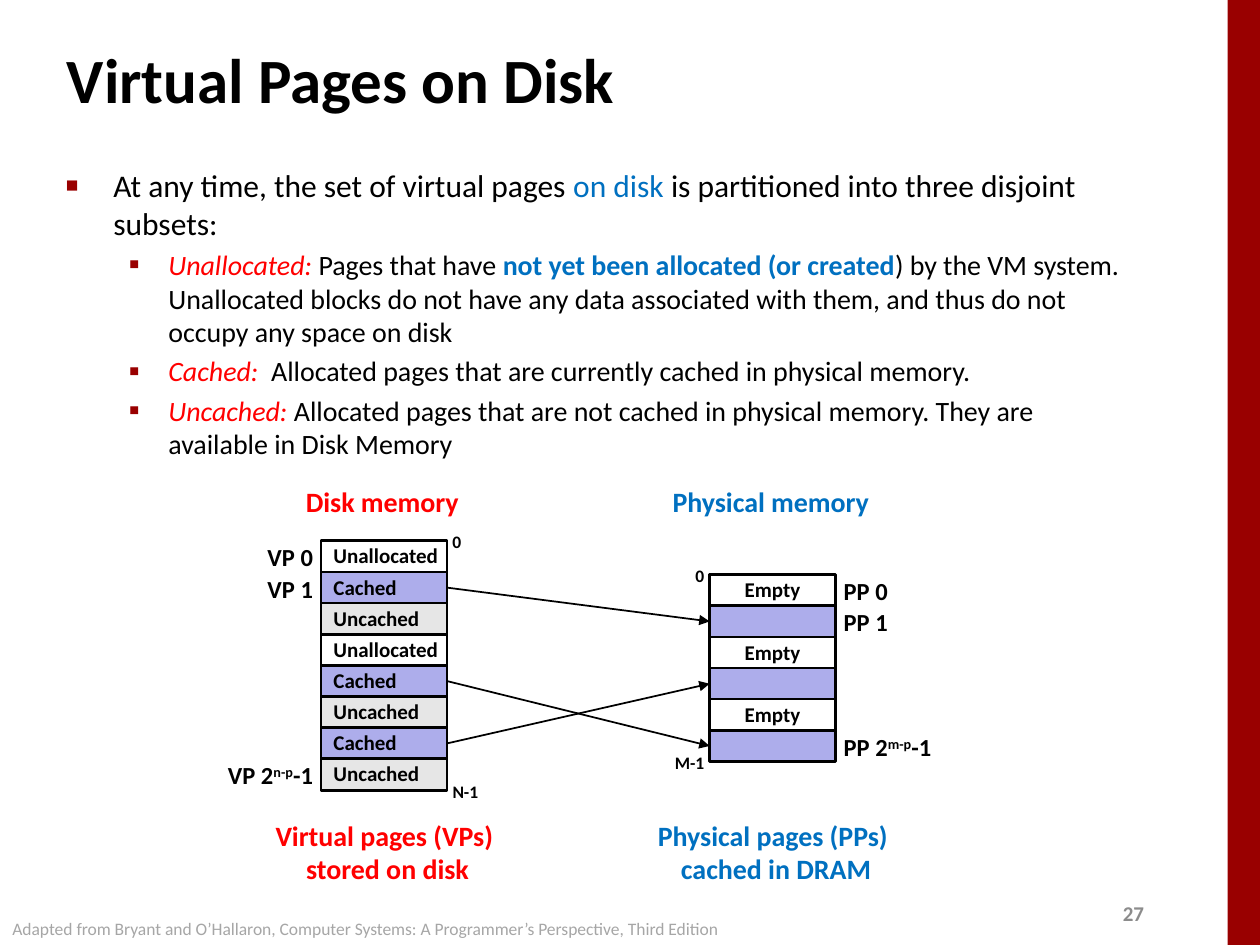
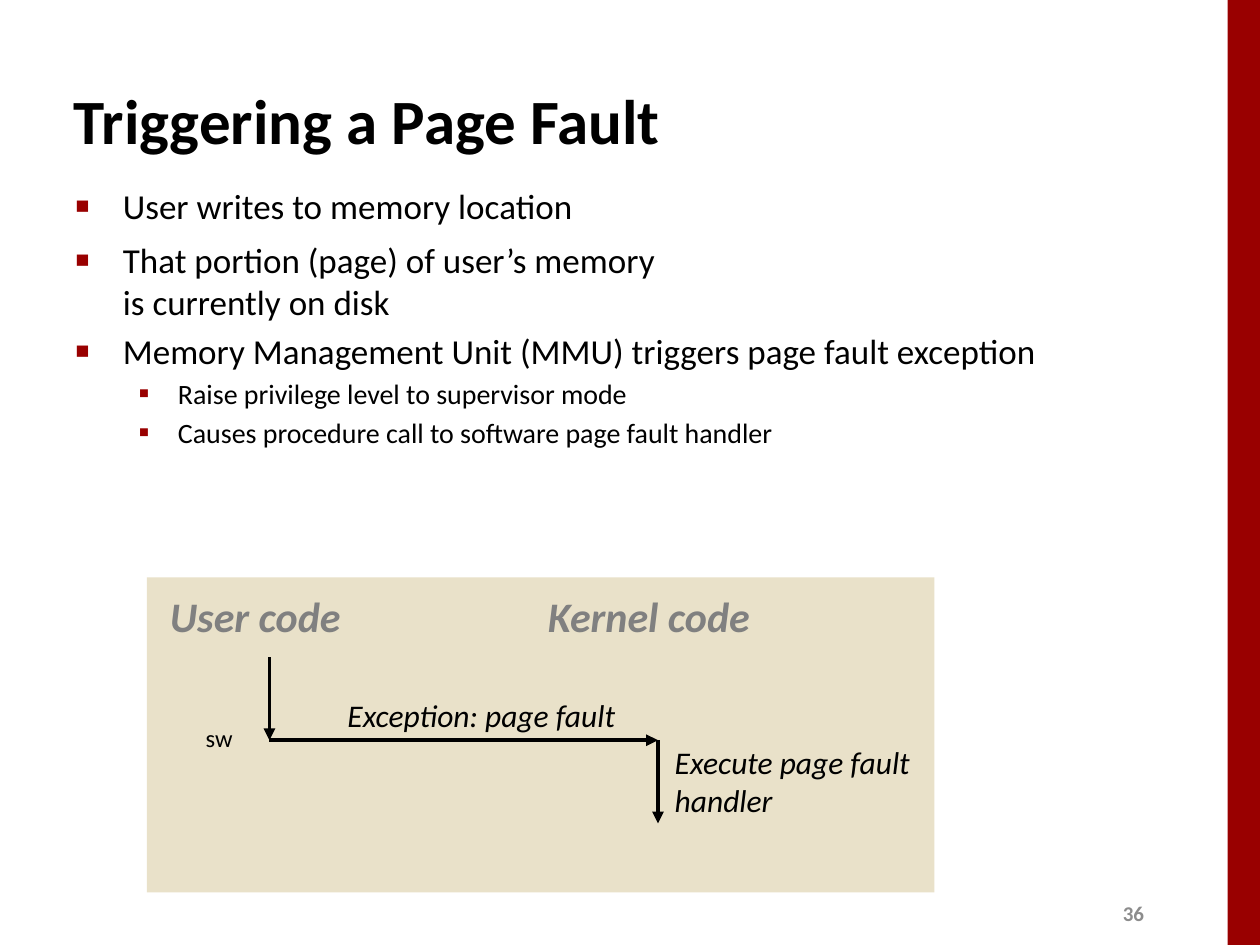
import collections

import lxml.etree
import pptx
import pptx.dml.color
import pptx.enum.shapes
import pptx.enum.text
import pptx.oxml.ns
import pptx.util

Pt = pptx.util.Pt
qn = pptx.oxml.ns.qn
ALIGN = pptx.enum.text.PP_ALIGN
ANCHOR = pptx.enum.text.MSO_ANCHOR
FIT = pptx.enum.text.MSO_AUTO_SIZE
RECTANGLE = pptx.enum.shapes.MSO_SHAPE.RECTANGLE
STRAIGHT = pptx.enum.shapes.MSO_CONNECTOR.STRAIGHT

Box = collections.namedtuple("Box", "left top width height")

COLORS = {
    "black": "000000", "white": "FFFFFF", "band": "990000", "red": "FF0000",
    "blue": "0070C0", "cached": "ADADEB", "uncached": "E6E6E6",
    "panel": "E9E1C9", "heading": "808080", "number": "8C8C8C", "source": "A6A6A6",
}
BULLETS = [("■", 42, 27, 27), ("▪", 110, 58.5, 22.5)]
CELL_PITCH = 17.8
CELL_HEIGHT = 18
CELL_FILLS = {"Unallocated": "white", "Empty": "white", "Uncached": "uncached"}


def rgb(color):
    return pptx.dml.color.RGBColor.from_string(COLORS[color])


def add_run(paragraph, text, size, color="black", bold=False, italic=False, raised=False):
    run = paragraph.add_run()
    run.text = text
    run.font.name = "Calibri"
    run.font.size = Pt(size)
    run.font.color.rgb = rgb(color)
    run.font.bold = bold
    run.font.italic = italic
    if raised:
        run._r.get_or_add_rPr().set("baseline", "30000")


def add_label(shapes, box, lines, size, color="black", align=ALIGN.LEFT, spacing=1.0,
              bold=False, italic=False, wrap=False):
    label = shapes.add_textbox(*map(Pt, box))
    frame = label.text_frame
    frame.word_wrap = wrap
    frame.vertical_anchor = ANCHOR.MIDDLE
    for index, line in enumerate(lines):
        paragraph = frame.add_paragraph() if index else frame.paragraphs[0]
        paragraph.alignment = align
        paragraph.line_spacing = spacing
        for position, text in enumerate(line):
            add_run(paragraph, text, size, color, bold, italic, raised=position == 1)


def add_block(shapes, box, fill, outlined=False):
    block = shapes.add_shape(RECTANGLE, *map(Pt, box))
    block.shadow.inherit = False
    block.fill.solid()
    block.fill.fore_color.rgb = rgb(fill)
    if outlined:
        block.line.color.rgb = rgb("black")
        block.line.width = Pt(1.5)
    else:
        block.line.fill.background()
    return block


def add_arrow(shapes, start, end, weight):
    arrow = shapes.add_connector(STRAIGHT, *map(Pt, start + end))
    arrow.line.color.rgb = rgb("black")
    arrow.line.width = Pt(weight)
    properties = arrow.element.spPr
    lxml.etree.SubElement(properties.find(qn("a:ln")), qn("a:tailEnd"), type="triangle")
    lxml.etree.SubElement(properties, qn("a:effectLst"))
    return arrow


def place(placeholder, box):
    placeholder.left, placeholder.top, placeholder.width, placeholder.height = map(Pt, box)
    placeholder.text_frame.auto_size = FIT.NONE
    return placeholder.text_frame


def set_bullet(paragraph, level):
    mark, percent, margin, hanging = BULLETS[level]
    paragraph.level = level
    properties = paragraph._p.get_or_add_pPr()
    properties.set("marL", str(Pt(margin)))
    properties.set("indent", str(-Pt(hanging)))
    color = lxml.etree.SubElement(properties, qn("a:buClr"))
    lxml.etree.SubElement(color, qn("a:srgbClr"), val=COLORS["band"])
    lxml.etree.SubElement(properties, qn("a:buSzPct"), val=str(percent * 1000))
    lxml.etree.SubElement(properties, qn("a:buFont"), typeface="Calibri")
    lxml.etree.SubElement(properties, qn("a:buChar"), char=mark)


def fill_body(body, box, items, sizes):
    frame = place(body, box)
    for index, (level, runs) in enumerate(items):
        paragraph = frame.add_paragraph() if index else frame.paragraphs[0]
        set_bullet(paragraph, level)
        for text, style in runs:
            for part, piece in enumerate(text.split("\n")):
                if part:
                    paragraph.add_line_break()
                add_run(paragraph, piece, sizes[level], **style)


def start_slide(deck, title, title_box, number):
    slide = deck.slides.add_slide(deck.slide_layouts[1])
    add_block(slide.shapes, Box(701.5, 0, 18.5, 540), "band")
    add_label(slide.shapes, Box(634.5, 511, 29, 22), [[number]], 12, "number", bold=True)
    heading = place(slide.shapes.title, title_box)
    heading.vertical_anchor = ANCHOR.MIDDLE
    heading.paragraphs[0].alignment = ALIGN.LEFT
    add_run(heading.paragraphs[0], title, 36, bold=True)
    return slide


def add_side_label(shapes, column, side, overlap, middle, width, text, size):
    if side == "left":
        left, align = column.left - width + overlap, ALIGN.RIGHT
    else:
        left, align = column.left + column.width - overlap, ALIGN.LEFT
    add_label(shapes, Box(left, middle - 10, width, 22), [text], size,
              align=align, spacing=0.98, bold=True)


def add_memory(shapes, box, cells_top, color, heading, caption, states, state_align,
               name_side, names, address_side, addresses):
    center = box.left + box.width / 2
    add_label(shapes, Box(center - 65, box.top, 128, 24), [[heading]], 16, color,
              ALIGN.CENTER, 0.88, bold=True)
    add_label(shapes, Box(center - 73, box.top + box.height - 45, 150, 45),
              [[line] for line in caption], 16, color, ALIGN.CENTER, 0.98, bold=True)

    top = box.top + cells_top
    cells = []
    for index, state in enumerate(states):
        cell_box = Box(box.left, top + index * CELL_PITCH, box.width, CELL_HEIGHT)
        cell = add_block(shapes, cell_box, CELL_FILLS.get(state, "cached"), outlined=True)
        if state:
            cell.text_frame.word_wrap = False
            cell.text_frame.vertical_anchor = ANCHOR.MIDDLE
            paragraph = cell.text_frame.paragraphs[0]
            paragraph.alignment = state_align
            paragraph.line_spacing = 0.98
            add_run(paragraph, state, 12, bold=True)
        cells.append(cell)

    last = len(states) - 1
    for index, name, width in zip((0, 1, last), names, (50, 50, 75)):
        middle = top + index * CELL_PITCH + CELL_HEIGHT / 2
        add_side_label(shapes, box, name_side, 2.5, middle, width, name, 14)
    bottom = top + last * CELL_PITCH + CELL_HEIGHT
    for middle, address, width in zip((top, bottom), addresses, (25, 38)):
        add_side_label(shapes, box, address_side, 4, middle, width, [address], 10)
    return cells


def add_page_mapping(shapes, box):
    disk = add_memory(
        shapes, Box(box.left, box.top, 72, box.height), 33, "red", "Disk memory",
        ["Virtual pages (VPs) ", "stored on disk"],
        ["Unallocated", "Cached", "Uncached", "Unallocated", "Cached", "Uncached",
         "Cached", "Uncached"],
        ALIGN.LEFT, "left", [["VP 0"], ["VP 1"], ["VP 2", "n-p", "-1"]], "right", ["0", "N-1"])
    physical = add_memory(
        shapes, Box(box.left + box.width - 72, box.top, 72, box.height), 52.3, "blue",
        "Physical memory", ["Physical pages (PPs) ", "cached in DRAM"],
        ["Empty", "", "Empty", "", "Empty", ""],
        ALIGN.CENTER, "right", [["PP 0"], ["PP 1"], ["PP 2", "m-p", "-1"]], "left", ["0", "M-1"])
    for virtual_page, physical_page in ((1, 1), (4, 5), (6, 3)):
        arrow = add_arrow(shapes, (0, 0), (1, 1), 1)
        arrow.begin_connect(disk[virtual_page], 3)
        arrow.end_connect(physical[physical_page], 1)


def add_fault_flow(slide, box):
    shapes = slide.shapes.add_group_shape().shapes
    add_block(shapes, box, "panel")

    def inside(left, top, width, height):
        return Box(box.left + left, box.top + top, width, height)

    for left, width, heading in ((6, 119, "User code"), (222, 137.5, "Kernel code")):
        add_label(shapes, inside(left, 4, width, 36), [[heading]], 24, "heading",
                  bold=True, italic=True)

    user_x, kernel_x, fault_y = box.left + 70, box.left + 292, box.top + 93
    add_arrow(shapes, (user_x, fault_y - 47.5), (user_x, fault_y), 2.25)
    add_arrow(shapes, (user_x, fault_y), (kernel_x, fault_y), 2.25)
    add_arrow(shapes, (kernel_x, fault_y), (kernel_x, fault_y + 47.5), 2.25)

    add_label(shapes, inside(107.5, 64, 174.5, 29), [["Exception: page fault"]], 18, italic=True)
    add_label(shapes, inside(294.5, 91, 155.5, 50.5), [["Execute page fault handler"]], 18,
              italic=True, wrap=True)
    add_label(shapes, inside(26.5, 79.5, 30, 24), [["sw"]], 14)


def build_virtual_pages(deck):
    slide = start_slide(deck, "Virtual Pages on Disk", Box(31, 15, 597.5, 60), "27")
    plain, term = {}, {"color": "red", "italic": True}
    fill_body(slide.placeholders[1], Box(30.5, 91.5, 622, 418), [
        (0, [("At any time, the set of virtual pages ", plain),
             ("on disk ", {"color": "blue"}),
             ("is partitioned into three disjoint subsets:", plain)]),
        (1, [("Unallocated: ", term), ("Pages that have ", plain),
             ("not yet been allocated (or created", {"color": "blue", "bold": True}),
             (") by the VM system. Unallocated blocks do not have any data associated "
              "with them, and thus do not occupy any space on disk", plain)]),
        (1, [("Cached: ", term),
             (" Allocated pages that are currently cached in physical memory.", plain)]),
        (1, [("Uncached: ", term),
             ("Allocated pages that are not cached in physical memory. They are "
              "available in Disk Memory", plain)]),
    ], (18, 16))
    add_page_mapping(slide.shapes, Box(183.5, 276, 294, 234))
    add_label(slide.shapes, Box(0, 521, 428, 19),
              [["Adapted from Bryant and O’Hallaron, Computer Systems: "
                "A Programmer’s Perspective, Third Edition"]], 10, "source")


def build_page_fault(deck):
    slide = start_slide(deck, "Triggering a Page Fault", Box(35, 46, 621.5, 44), "36")
    items = [
        (0, "User writes to memory location"),
        (0, "That portion (page) of user’s memory \nis currently on disk"),
        (0, "Memory Management Unit (MMU) triggers page fault exception"),
        (1, "Raise privilege level to supervisor mode"),
        (1, "Causes procedure call to software page fault handler"),
    ]
    fill_body(slide.placeholders[1], Box(36, 102, 642, 84),
              [(level, [(text, {})]) for level, text in items], (20, 16))
    add_fault_flow(slide, Box(84, 330, 450, 180))


def main():
    deck = pptx.Presentation()
    deck.slide_width, deck.slide_height = Pt(720), Pt(540)
    build_virtual_pages(deck)
    build_page_fault(deck)
    deck.save("out.pptx")


if __name__ == "__main__":
    main()
